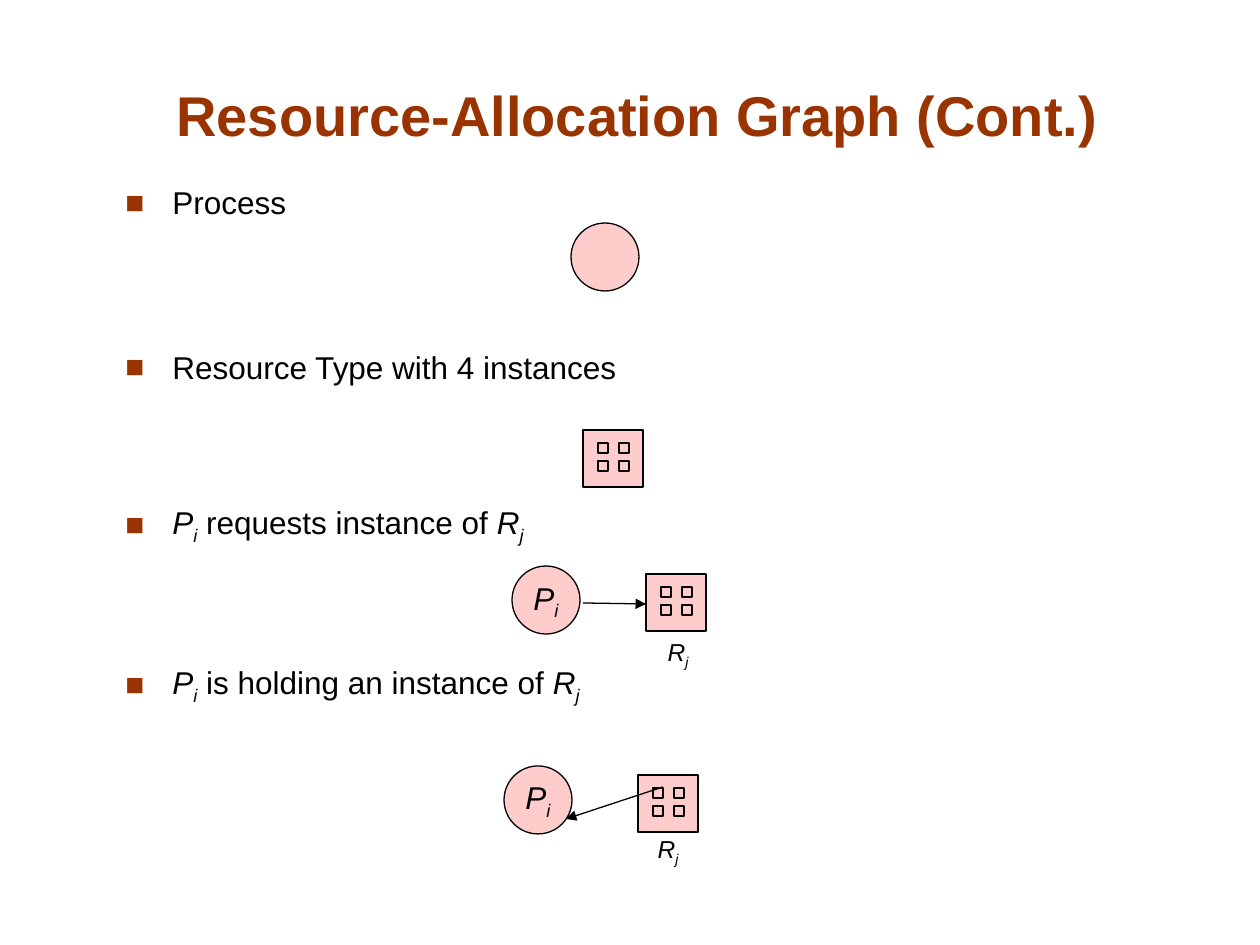
"""Build the resource-allocation graph slide."""
from lxml import etree
from pptx import Presentation
from pptx.dml.color import RGBColor
from pptx.enum.shapes import MSO_CONNECTOR, MSO_SHAPE
from pptx.enum.text import MSO_ANCHOR, PP_ALIGN
from pptx.oxml.ns import qn
from pptx.util import Pt

PX = 914400 // 126
FONT = "Arial"
RUST = RGBColor(0x99, 0x33, 0x00)
PINK = RGBColor(0xFF, 0xCC, 0xCC)
BLACK = RGBColor(0, 0, 0)
OVAL, RECT = MSO_SHAPE.OVAL, MSO_SHAPE.RECTANGLE
STRAIGHT = MSO_CONNECTOR.STRAIGHT
CENTER, LEFT = PP_ALIGN.CENTER, PP_ALIGN.LEFT
TOP, MIDDLE, BOTTOM = MSO_ANCHOR.TOP, MSO_ANCHOR.MIDDLE, MSO_ANCHOR.BOTTOM

TITLE = "Resource-Allocation Graph (Cont.)"
PI = [("P", "i"), ("i", "is")]
RJ = [("R", "i"), ("j", "is")]
BULLETS = [
    (0, [("Process", "")]),
    (72.5, [("Resource Type with 4 instances", "")]),
    (67.3, PI + [(" requests instance of ", "")] + RJ),
    (66.9, PI + [(" is holding an instance of ", "")] + RJ),
]
PROCESSES = [(571, 223, []), (504, 766, PI), (512, 566, PI)]
RESOURCES = [(583, 430), (646, 574), (638, 775)]
RESOURCE_LABELS = [(643, 630), (633, 827)]
LABEL_W, LABEL_H = 70, 47
ARROWS = [(583, 603, 646, 604), (663, 787, 566, 819)]
CIRCLE = 68
BOX_W, BOX_H = 60, 57
DOT, DOT_X, DOT_Y, DOT_DX, DOT_DY = 10, 15, 13, 21, 18
INDENT = 47


def emu(*lengths):
    return [n * PX for n in lengths]


def add_runs(p, runs, size, color=BLACK, bold=False):
    for text, style in runs:
        r = p.add_run()
        r.text = text
        f = r.font
        f.name, f.size, f.bold, f.italic = FONT, Pt(size), bold, "i" in style
        f.color.rgb = color
        if "s" in style:
            r._r.get_or_add_rPr().set("baseline", "-25000")


def set_frame(sp, anchor, align, wrap):
    tf = sp.text_frame
    tf.word_wrap, tf.vertical_anchor = wrap, anchor
    p = tf.paragraphs[0]
    p.alignment = align
    return p


def add_text(slide, box, runs, size, anchor=MIDDLE, wrap=False, **style):
    tb = slide.shapes.add_textbox(*emu(*box))
    add_runs(set_frame(tb, anchor, CENTER, wrap), runs, size, **style)


def add_bullets(slide, box):
    tb = slide.shapes.add_textbox(*emu(*box))
    p = set_frame(tb, TOP, LEFT, True)
    for i, (gap, runs) in enumerate(BULLETS):
        if i:
            p = tb.text_frame.add_paragraph()
        pPr = p._p.get_or_add_pPr()
        pPr.set("marL", str(INDENT * PX))
        pPr.set("indent", str(-INDENT * PX))
        color = etree.SubElement(pPr, qn("a:buClr"))
        etree.SubElement(color, qn("a:srgbClr")).set("val", str(RUST))
        etree.SubElement(pPr, qn("a:buFont")).set("typeface", FONT)
        etree.SubElement(pPr, qn("a:buChar")).set("char", "■")
        p.space_before = Pt(gap)
        add_runs(p, runs, 18)


def add_node(shapes, kind, *box):
    sp = shapes.add_shape(kind, *emu(*box))
    sp.shadow.inherit = False
    sp.fill.solid()
    sp.fill.fore_color.rgb = PINK
    sp.line.color.rgb = BLACK
    sp.line.width = Pt(0.75)
    return sp


def add_resource(slide, x, y):
    shapes = slide.shapes.add_group_shape().shapes
    add_node(shapes, RECT, x, y, BOX_W, BOX_H)
    for row in range(2):
        for col in range(2):
            add_node(shapes, RECT, x + DOT_X + col * DOT_DX,
                     y + DOT_Y + row * DOT_DY, DOT, DOT)


def add_arrow(slide, *ends):
    c = slide.shapes.add_connector(STRAIGHT, *emu(*ends))
    c.line.color.rgb = BLACK
    c.line.width = Pt(0.75)
    etree.SubElement(c.line._get_or_add_ln(), qn("a:tailEnd")).set("type", "triangle")
    etree.SubElement(c._element.spPr, qn("a:effectLst"))


def main():
    prs = Presentation()
    prs.slide_width, prs.slide_height = emu(1260, 945)
    slide = prs.slides.add_slide(prs.slide_layouts[6])
    add_text(slide, (81, 69, 1113, 85), [(TITLE, "")], 32, BOTTOM, True,
             color=RUST, bold=True)
    add_bullets(slide, (113, 177, 1013, 611))
    for x, y, runs in PROCESSES:
        sp = add_node(slide.shapes, OVAL, x, y, CIRCLE, CIRCLE)
        if runs:
            add_runs(set_frame(sp, MIDDLE, CENTER, False), runs, 18)
    for x, y in RESOURCES:
        add_resource(slide, x, y)
    for x, y in RESOURCE_LABELS:
        add_text(slide, (x, y, LABEL_W, LABEL_H), RJ, 14)
    for ends in ARROWS:
        add_arrow(slide, *ends)
    prs.save("out.pptx")


if __name__ == "__main__":
    main()
